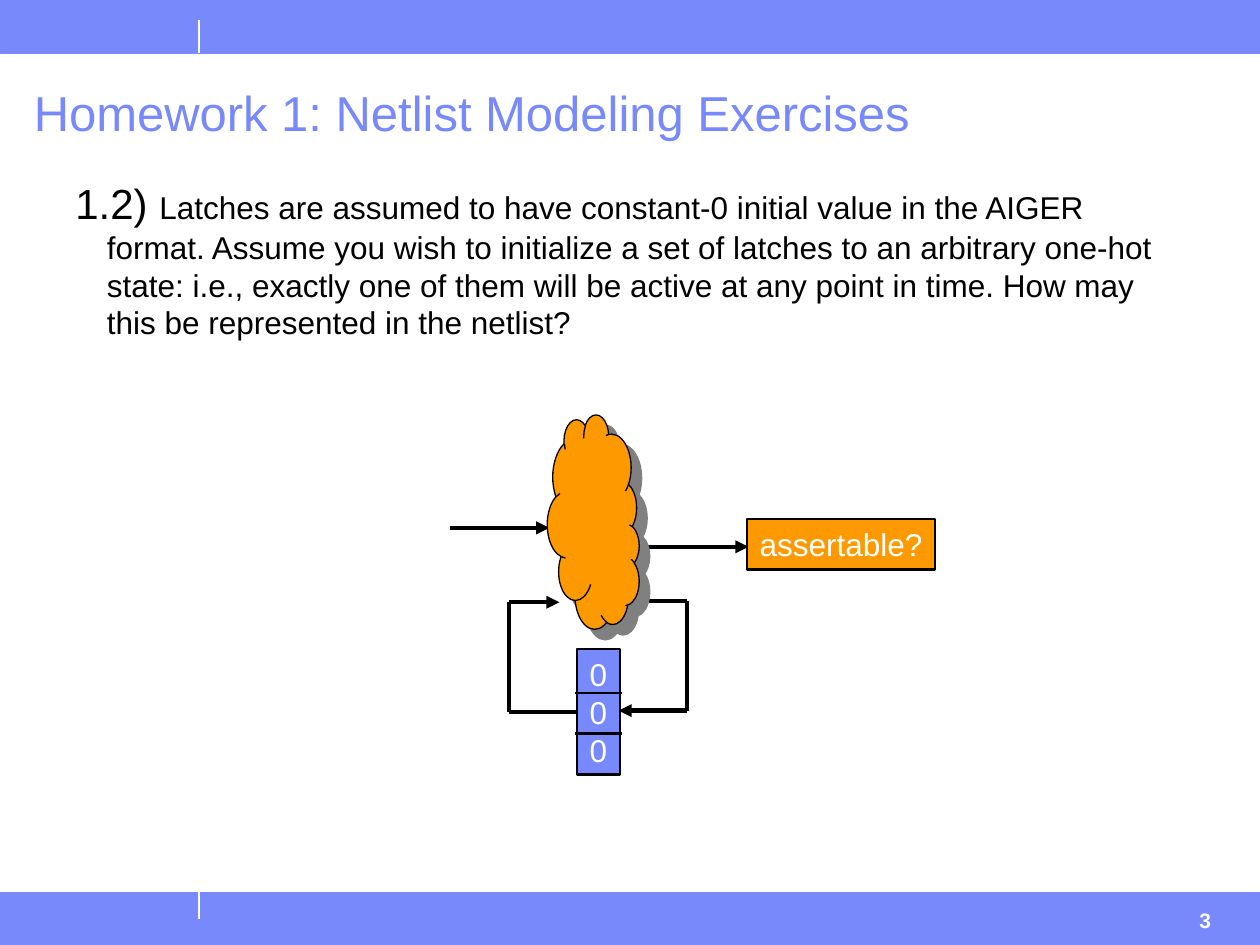
from dataclasses import dataclass
from itertools import pairwise

from lxml.etree import SubElement
from pptx import Presentation
from pptx.dml.color import RGBColor
from pptx.enum.shapes import MSO_CONNECTOR, MSO_SHAPE
from pptx.enum.text import MSO_ANCHOR, PP_ALIGN
from pptx.oxml import parse_xml
from pptx.oxml.ns import nsdecls, qn
from pptx.util import Inches, Pt


@dataclass(frozen=True)
class Theme:
    font: str = "Arial"
    blue: str = "7889FB"
    orange: str = "FF9900"
    black: str = "000000"
    white: str = "FFFFFF"
    grey: str = "808080"
    title_size: int = 28
    number_size: int = 24
    body_size: int = 18
    page_size: int = 12


class SlideBuilder:
    def __init__(self, page, theme):
        self.page = page
        self.theme = theme

    def add_span(self, para, text, size, color, bold=False):
        span = para.add_run()
        span.text = text
        span.font.name = self.theme.font
        span.font.size = Pt(size)
        span.font.bold = bold
        span.font.color.rgb = RGBColor.from_string(color)

    def text(self, left, top, width, height, spans, bold=False):
        """Add a one-paragraph text box; spans are (text, size, color)."""
        box = self.page.shapes.add_textbox(
            Inches(left), Inches(top), Inches(width), Inches(height))
        box.text_frame.word_wrap = True
        para = box.text_frame.paragraphs[0]
        for text, size, color in spans:
            self.add_span(para, text, size, color, bold)
        return para

    def shape(self, kind, left, top, width, height, fill, line, weight):
        shape = self.page.shapes.add_shape(
            kind, Inches(left), Inches(top), Inches(width), Inches(height))
        shape.shadow.inherit = False
        shape.fill.solid()
        shape.fill.fore_color.rgb = RGBColor.from_string(fill)
        shape.line.color.rgb = RGBColor.from_string(line)
        shape.line.width = Pt(weight)
        return shape

    def label_box(self, left, top, width, height, fill, lines):
        box = self.shape(MSO_SHAPE.RECTANGLE, left, top, width, height,
                         fill, self.theme.black, 1.5)
        frame = box.text_frame
        frame.word_wrap = False
        frame.vertical_anchor = MSO_ANCHOR.MIDDLE
        for index, text in enumerate(lines):
            para = frame.add_paragraph() if index else frame.paragraphs[0]
            para.alignment = PP_ALIGN.CENTER
            self.add_span(para, text, self.theme.body_size, self.theme.white)

    def cloud(self, left, top, width, height):
        cloud = self.shape(MSO_SHAPE.CLOUD, left, top, width, height,
                           self.theme.orange, self.theme.black, 0.75)
        cloud.rotation = 90
        effects = cloud.element.spPr.find(qn("a:effectLst"))
        effects.append(parse_xml(
            f'<a:outerShdw {nsdecls("a")} dist="{Pt(8.5)}" dir="2700000" '
            f'algn="ctr" rotWithShape="0">'
            f'<a:srgbClr val="{self.theme.grey}"/></a:outerShdw>'))

    def line(self, start, end, color, weight, arrow=False):
        line = self.page.shapes.add_connector(
            MSO_CONNECTOR.STRAIGHT, *map(Inches, start + end))
        line.line.color.rgb = RGBColor.from_string(color)
        line.line.width = Pt(weight)
        if arrow:
            SubElement(line.line._get_or_add_ln(), qn("a:tailEnd"), type="triangle")
        SubElement(line.element.spPr, qn("a:effectLst"))

    def wire(self, *points):
        """Join the points with straight segments, ending in an arrowhead."""
        for start, end in pairwise(points):
            self.line(start, end, self.theme.black, 2.5, arrow=end == points[-1])


def main():
    theme = Theme()
    deck = Presentation()
    deck.slide_width, deck.slide_height = Inches(10), Inches(7.5)
    page = deck.slides.add_slide(deck.slide_layouts[6])
    builder = SlideBuilder(page, theme)

    # Header and footer bands with their ticks
    for band_top, tick_top, tick_bottom in ((0, 0.16, 0.42), (7.08, 7.08, 7.29)):
        builder.shape(MSO_SHAPE.RECTANGLE, 0, band_top, 10, 0.42,
                      theme.blue, theme.blue, 0.25)
        builder.line((1.58, tick_top), (1.58, tick_bottom), theme.white, 0.75)
    builder.text(9.42, 7.15, 0.49, 0.35,
                 [("3", theme.page_size, theme.white)], bold=True)

    # Title and question
    title = builder.text(0.17, 0.66, 9, 0.5, [
        ("Homework 1: Netlist Modeling Exercises", theme.title_size, theme.blue)])
    title.line_spacing = 0.9
    question = builder.text(0.5, 1.36, 9.02, 5.73, [
        ("1.2) ", theme.number_size, theme.black),
        ("Latches are assumed to have constant-0 initial value in the AIGER "
         "format. Assume you wish to initialize a set of latches to an arbitrary "
         "one-hot state: i.e., exactly one of them will be active at any point "
         "in time. How may this be represented in the netlist?",
         theme.body_size, theme.black)])
    indent = question._p.get_or_add_pPr()
    indent.set("marL", str(Inches(0.25)))
    indent.set("indent", str(Inches(-0.25)))

    # Next-state wire, latches and feedback wire
    builder.wire((4.91, 4.77), (5.45, 4.77), (5.45, 5.64), (4.91, 5.64))
    builder.label_box(4.58, 5.15, 0.34, 1, theme.blue, ["0"] * 3)
    builder.wire((4.58, 5.65), (4.04, 5.65), (4.04, 4.78), (4.44, 4.78))

    # Input and output wires
    builder.wire((3.57, 4.19), (4.36, 4.19))
    builder.wire((5.04, 4.34), (5.94, 4.34))

    # Latch dividers
    for divider in (5.5, 5.82):
        builder.line((4.56, divider), (4.94, divider), theme.black, 1.5)

    # Property box and logic cloud
    builder.label_box(5.93, 4.12, 1.49, 0.4, theme.orange, ["assertable?"])
    builder.cloud(3.86, 3.78, 1.7, 0.73)

    deck.save("out.pptx")


if __name__ == "__main__":
    main()
